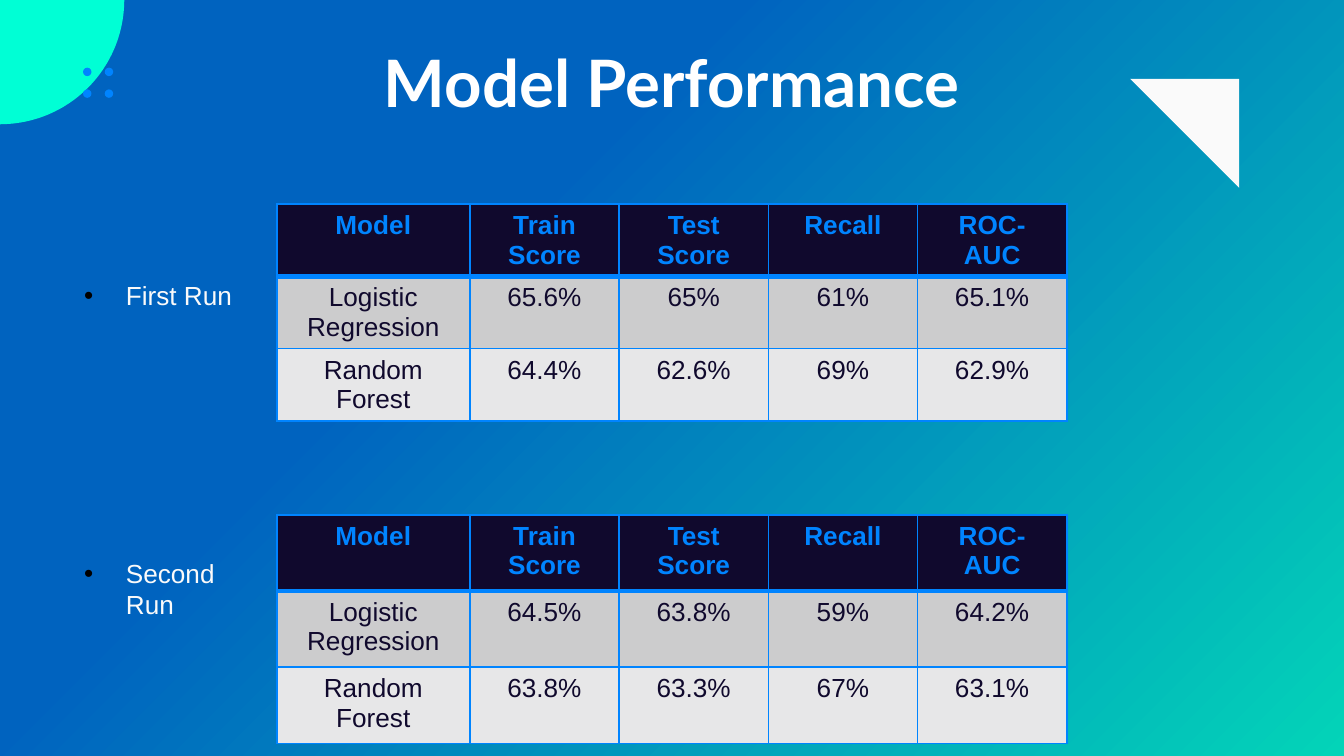
from math import cos, pi, sin

from lxml.etree import SubElement
from pptx import Presentation
from pptx.dml.color import RGBColor
from pptx.enum.shapes import MSO_SHAPE as Preset
from pptx.enum.text import MSO_ANCHOR as Anchor, PP_ALIGN as Align
from pptx.oxml.ns import qn
from pptx.util import Cm, Pt

BLUE, NAVY, MINT, PALE = "0084FF", "10092D", "00FFD5", "FAFAFA"
ROW_FILLS = [NAVY, "CCCCCD", "E7E7E8"]
HEADINGS = ["Model", "Train Score", "Test Score", "Recall", "ROC-AUC"]
RUNS = [
    ("First Run", 3.86, 5.16, 0.86, [
        ["Logistic Regression", "65.6%", "65%", "61%", "65.1%"],
        ["Random Forest", "64.4%", "62.6%", "69%", "62.9%"],
    ]),
    ("Second Run", 9.73, 10.41, 1.45, [
        ["Logistic Regression", "64.5%", "63.8%", "59%", "64.2%"],
        ["Random Forest", "63.8%", "63.3%", "67%", "63.1%"],
    ]),
]


def rgb(value):
    return RGBColor.from_string(value)


def paint(shape, color):
    shape.shadow.inherit = False
    shape.fill.solid()
    shape.fill.fore_color.rgb = rgb(color)
    shape.line.fill.background()


def set_font(paragraph, size, color, name="Arial", bold=False):
    font = paragraph.font
    font.name, font.size, font.bold = name, Pt(size), bold
    font.color.rgb = rgb(color)


def set_background(slide):
    fill = slide.background.fill
    fill.gradient()
    fill.gradient_angle = 315
    for stop, position, color in zip(fill.gradient_stops, (0.35, 1), ("0063BF", "03D4B8")):
        stop.position = position
        stop.color.rgb = rgb(color)


def add_corner(slide, left, top, radius):
    """Quarter disc with its centre at (left, top), and four dots over its edge."""
    steps = 48
    angles = [pi / 2 * step / steps for step in range(steps + 1)]
    arc = [(Cm(left + radius * cos(a)), Cm(top + radius * sin(a))) for a in angles]
    outline = slide.shapes.build_freeform(Cm(left), Cm(top))
    outline.add_line_segments(arc, close=True)
    paint(outline.convert_to_shape(), MINT)

    dot_size, dot_gap = 0.16, 0.41
    for row in range(2):
        for column in range(2):
            dot = slide.shapes.add_shape(
                Preset.OVAL,
                Cm(left + 1.57 + column * dot_gap), Cm(top + 1.28 + row * dot_gap),
                Cm(dot_size), Cm(dot_size))
            paint(dot, BLUE)


def add_triangle(slide, left, top, size):
    triangle = slide.shapes.add_shape(
        Preset.RIGHT_TRIANGLE, Cm(left), Cm(top), Cm(size), Cm(size))
    triangle.rotation = 180
    paint(triangle, PALE)


def place_title(slide, left, top, width, height):
    title = slide.shapes.title
    title.left, title.top, title.width, title.height = map(Cm, (left, top, width, height))
    frame = title.text_frame
    frame.text = "Model Performance"
    frame.vertical_anchor = Anchor.MIDDLE
    heading = frame.paragraphs[0]
    heading.alignment = Align.CENTER
    set_font(heading, 35, "FFFFFF", "Lato", True)


def set_borders(cell, top, bottom):
    properties = cell._tc.get_or_add_tcPr()
    for side, weight in (("L", 1), ("R", 1), ("T", top), ("B", bottom)):
        line = SubElement(properties, qn(f"a:ln{side}"), w=str(Pt(weight)))
        SubElement(SubElement(line, qn("a:solidFill")), qn("a:srgbClr"), val=BLUE)


def add_scores(slide, left, top, width, scores):
    rows = [HEADINGS, *scores]
    row_height, model_width = 1.04, 3.65
    table = slide.shapes.add_table(
        len(rows), len(HEADINGS), Cm(left), Cm(top), Cm(width), Cm(row_height * len(rows))).table
    table.horz_banding = False
    score_width = (width - model_width) / (len(HEADINGS) - 1)
    for index, column in enumerate(table.columns):
        column.width = Cm(score_width if index else model_width)
    for r, (values, fill) in enumerate(zip(rows, ROW_FILLS)):
        is_header = r == 0
        for c, value in enumerate(values):
            cell = table.cell(r, c)
            set_borders(cell, top=3 if r == 1 else 1, bottom=3 if is_header else 1)
            cell.fill.solid()
            cell.fill.fore_color.rgb = rgb(fill)
            cell.text = value
            entry = cell.text_frame.paragraphs[0]
            entry.alignment = Align.CENTER
            set_font(entry, 14, BLUE if is_header else NAVY, bold=is_header)


def add_run_label(slide, left, top, width, height, text):
    frame = slide.shapes.add_textbox(Cm(left), Cm(top), Cm(width), Cm(height)).text_frame
    frame.word_wrap = True
    frame.text = text
    label = frame.paragraphs[0]
    properties = label._p.get_or_add_pPr()
    indent = Cm(0.79)
    properties.set("marL", str(indent))
    properties.set("indent", str(-indent))
    SubElement(SubElement(properties, qn("a:buClr")), qn("a:srgbClr"), val="000000")
    SubElement(properties, qn("a:buFont"), typeface="Arial")
    SubElement(properties, qn("a:buChar"), char="•")
    set_font(label, 14, PALE)


def build_performance_slide(deck):
    slide = deck.slides.add_slide(deck.slide_layouts[5])
    set_background(slide)
    add_corner(slide, 0, 0, 2.35)
    add_triangle(slide, 21.36, 1.49, 2.06)
    place_title(slide, 2, 0.74, 21.4, 1.6)
    for name, table_top, label_top, label_height, scores in RUNS:
        add_scores(slide, 5.23, table_top, 14.93, scores)
        add_run_label(slide, 1.34, label_top, 3.5, label_height, name)


def main():
    deck = Presentation()
    deck.slide_width, deck.slide_height = Cm(25.4), Cm(14.29)
    build_performance_slide(deck)
    deck.save("out.pptx")


if __name__ == "__main__":
    main()
